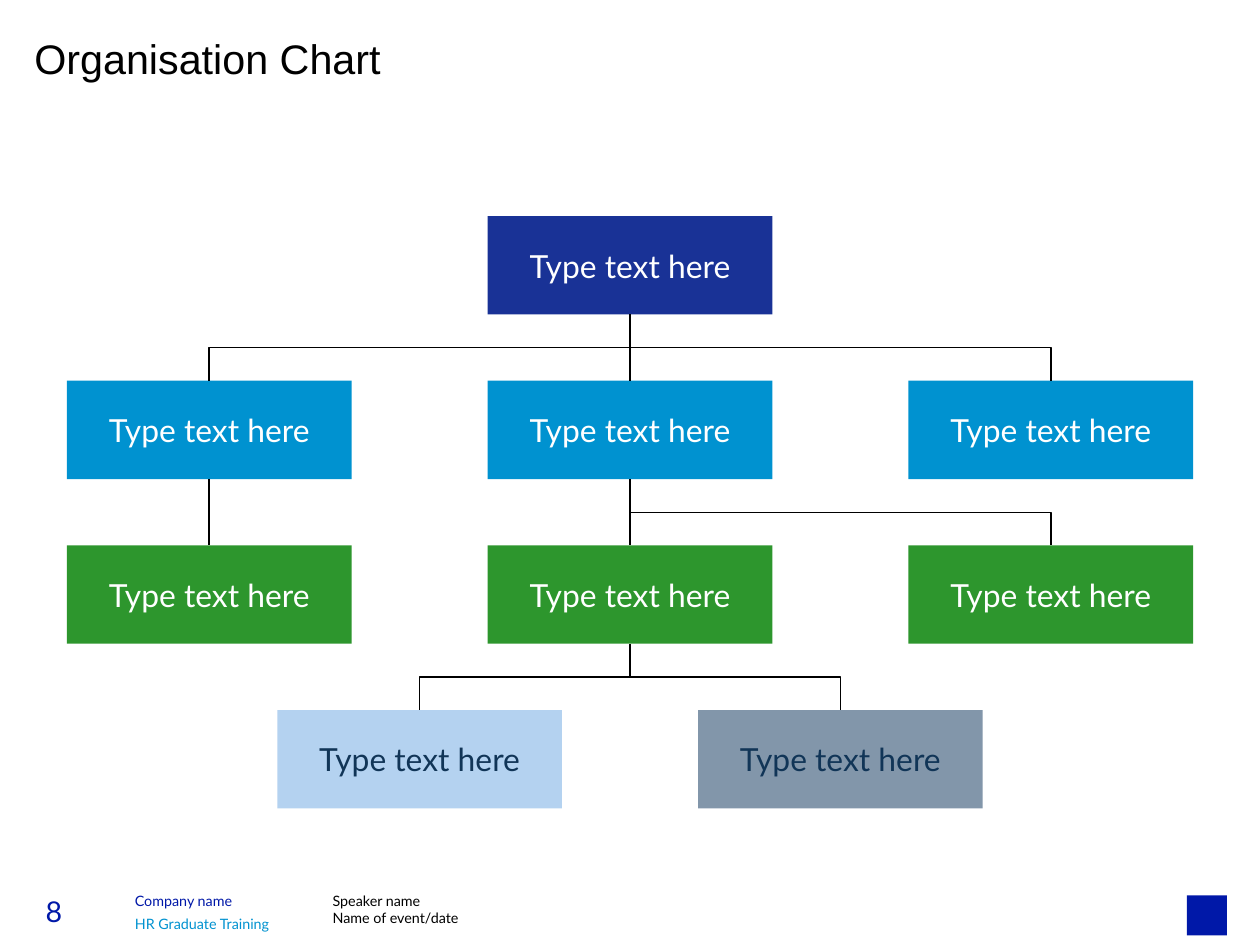
from lxml.etree import SubElement
from pptx import Presentation
from pptx.dml.color import RGBColor
from pptx.enum.shapes import MSO_CONNECTOR, MSO_SHAPE
from pptx.enum.text import MSO_ANCHOR, PP_ALIGN
from pptx.oxml.ns import qn
from pptx.util import Inches, Pt

BLACK = RGBColor(0x00, 0x00, 0x00)
WHITE = RGBColor(0xFF, 0xFF, 0xFF)
BRAND = RGBColor(0x00, 0x18, 0xA8)
NAVY = RGBColor(0x19, 0x32, 0x96)
CYAN = RGBColor(0x00, 0x92, 0xD0)
GREEN = RGBColor(0x2D, 0x96, 0x2D)
PALE = RGBColor(0xB4, 0xD2, 0xF0)
GREY = RGBColor(0x82, 0x96, 0xAA)
INK = RGBColor(0x11, 0x35, 0x57)

MID, TOP = 5.51, 1.89
COL, ROW = 3.68, 1.44
WIDE, HIGH = 2.49, 0.86


def write(frame, text, size, color, font="Lato", align=PP_ALIGN.LEFT):
    frame.word_wrap = True
    frame.text = text
    par = frame.paragraphs[0]
    par.alignment = align
    for run in par.runs:
        style = {"name": font, "size": Pt(size)}
        for key, value in style.items():
            setattr(run.font, key, value)
        run.font.color.rgb = color


def add_rect(left, top, width, height, fill):
    rect = slide.shapes.add_shape(
        MSO_SHAPE.RECTANGLE, Inches(left), Inches(top), Inches(width), Inches(height))
    rect.shadow.inherit = False
    rect.fill.solid()
    rect.fill.fore_color.rgb = fill
    rect.line.fill.background()
    return rect


deck = Presentation()
deck.slide_width, deck.slide_height = Inches(11.02), Inches(8.29)
slide = deck.slides.add_slide(deck.slide_layouts[5])

# Title
title = slide.shapes.title
title.left, title.top = Inches(0.3), Inches(0.34)
title.width, title.height = Inches(10.44), Inches(0.83)
frame = title.text_frame
write(frame, "Organisation Chart", 26, BLACK, "Arial")
frame.vertical_anchor = MSO_ANCHOR.TOP
frame.margin_left = frame.margin_top = frame.margin_bottom = 0
frame.margin_right = Inches(0.59)
frame.paragraphs[0].line_spacing = 0.9

# Boxes: name, column offset from the middle, row, fill, text colour
nodes = [
    ("head", 0, 0, NAVY, WHITE),
    ("mid", 0, 1, CYAN, WHITE),
    ("left", -1, 1, CYAN, WHITE),
    ("right", 1, 1, CYAN, WHITE),
    ("mid team", 0, 2, GREEN, WHITE),
    ("left team", -1, 2, GREEN, WHITE),
    ("right team", 1, 2, GREEN, WHITE),
    ("left unit", -0.5, 3, PALE, INK),
    ("right unit", 0.5, 3, GREY, INK),
]
boxes = {}
for name, col, row, fill, ink in nodes:
    box = add_rect(MID + col * COL - WIDE / 2, TOP + row * ROW, WIDE, HIGH, fill)
    write(box.text_frame, "Type text here", 20, ink, align=PP_ALIGN.CENTER)
    box.text_frame.vertical_anchor = MSO_ANCHOR.MIDDLE
    boxes[name] = box

# Links from the bottom of a box to the top of the one below
links = [
    ("head", "left"), ("head", "mid"), ("head", "right"),
    ("left", "left team"), ("mid", "mid team"), ("mid", "right team"),
    ("mid team", "left unit"), ("mid team", "right unit"),
]
for start, end in links:
    upper, lower = boxes[start], boxes[end]
    shift = lower.left - upper.left
    kind = MSO_CONNECTOR.ELBOW if shift else MSO_CONNECTOR.STRAIGHT
    link = slide.shapes.add_connector(kind, 0, 0, 0, 0)
    link.begin_connect(upper, 2)
    link.end_connect(lower, 0)
    link.line.color.rgb = BLACK
    link.line.width = Pt(1)
    props = link._element.spPr
    SubElement(props, qn("a:effectLst"))
    if shift:
        # Turn the elbow so that it leaves and arrives vertically
        drop = lower.top - upper.top - upper.height
        link.left = upper.left + (upper.width + shift - drop) // 2
        link.top = upper.top + upper.height + (drop - abs(shift)) // 2
        link.width, link.height = drop, abs(shift)
        props.xfrm.rot = 90 if shift < 0 else 270
        props.xfrm.flipH = shift > 0

# Footer
notes = [
    ("8", 0.4, 7.82, 0.5, 0.3, 18, BRAND),
    ("Company name", 1.18, 7.8, 1.6, 0.16, 9, BRAND),
    ("HR Graduate Training", 1.18, 8, 1.6, 0.16, 9, CYAN),
    ("Speaker name\vName of event/date", 2.91, 7.8, 1.6, 0.31, 9, BLACK),
]
for text, left, top, width, height, size, color in notes:
    note = slide.shapes.add_textbox(
        Inches(left), Inches(top), Inches(width), Inches(height))
    frame = note.text_frame
    for side in ("left", "top", "right", "bottom"):
        setattr(frame, "margin_" + side, 0)
    write(frame, text, size, color)
add_rect(10.38, 7.83, 0.35, 0.35, BRAND)

deck.save("out.pptx")
